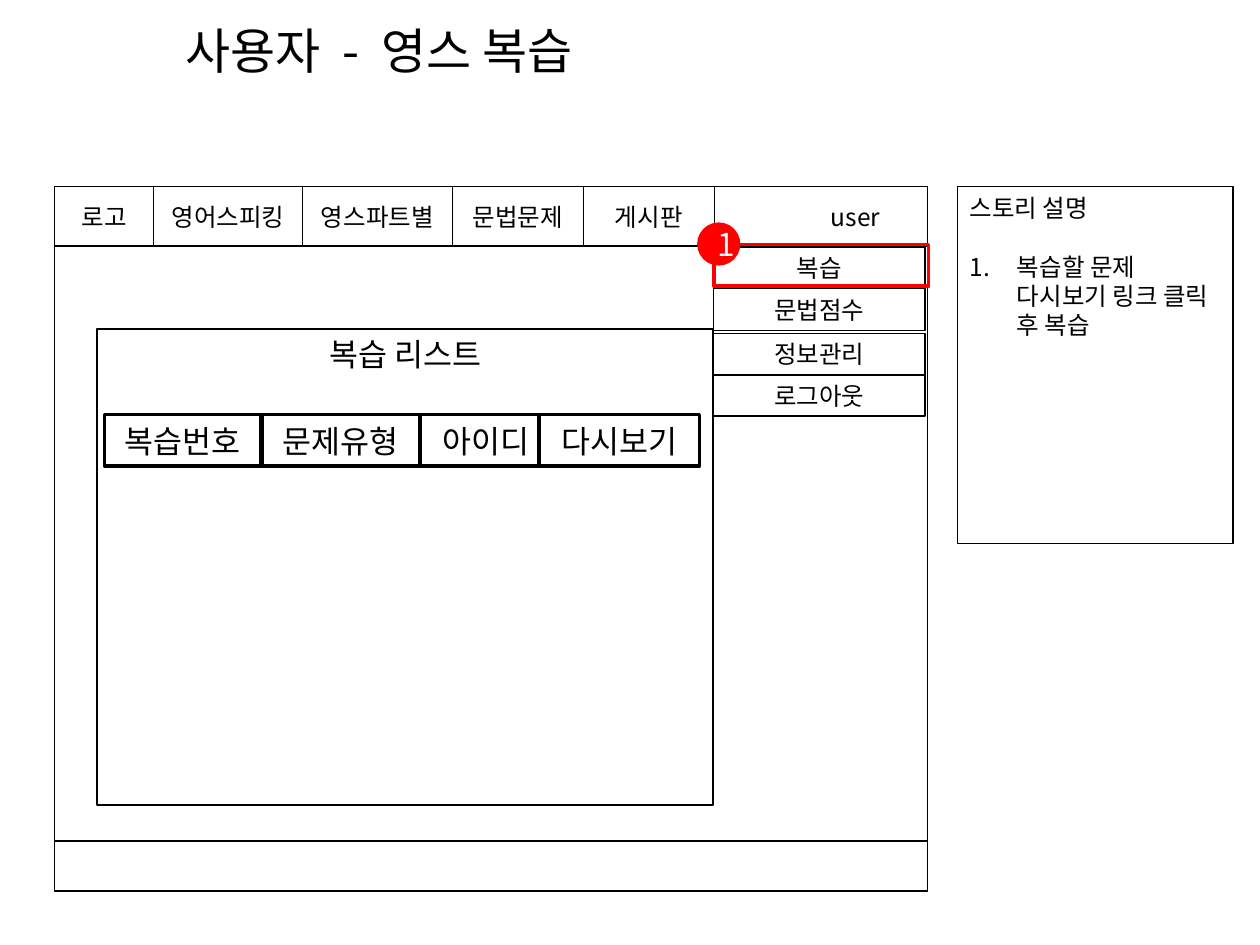
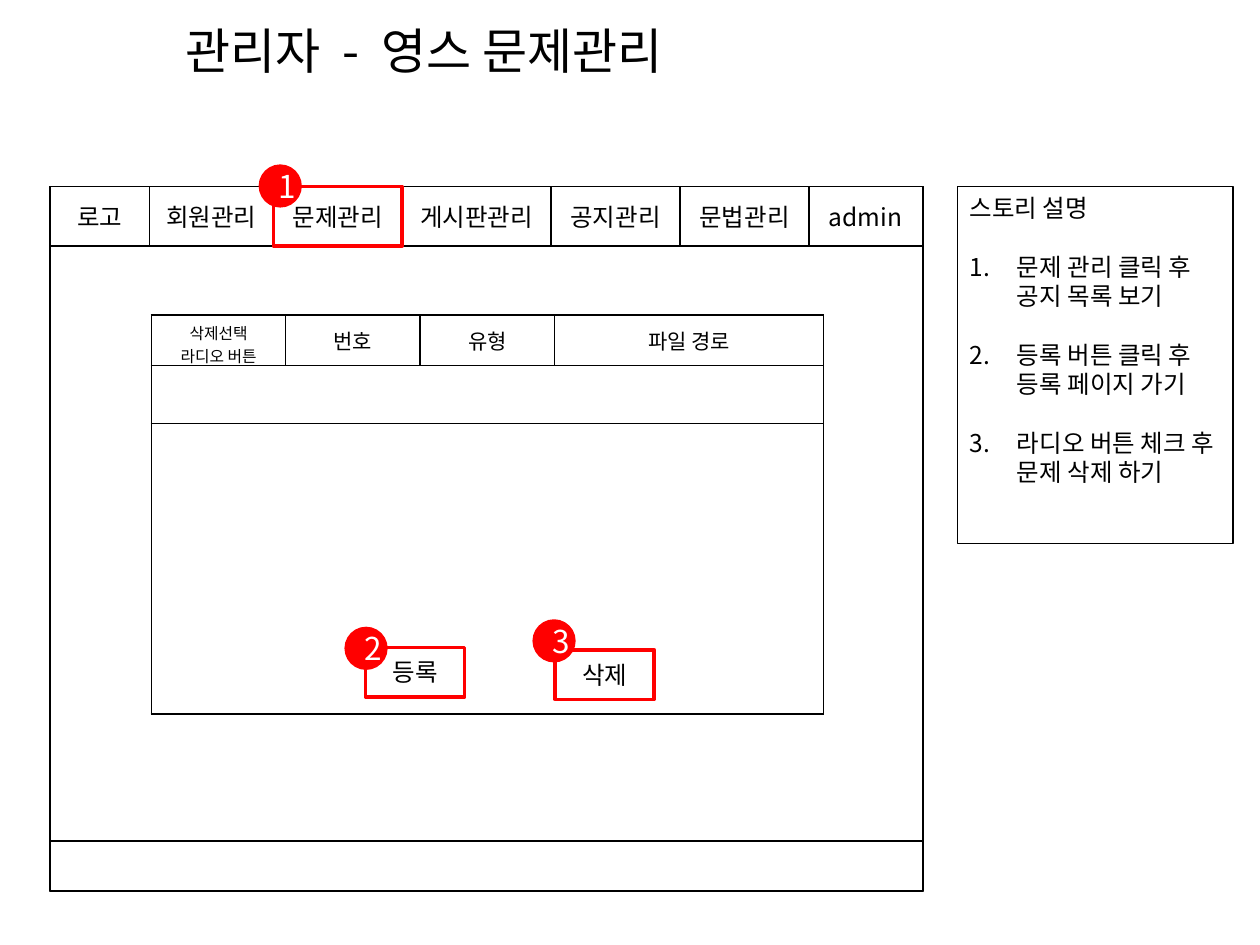
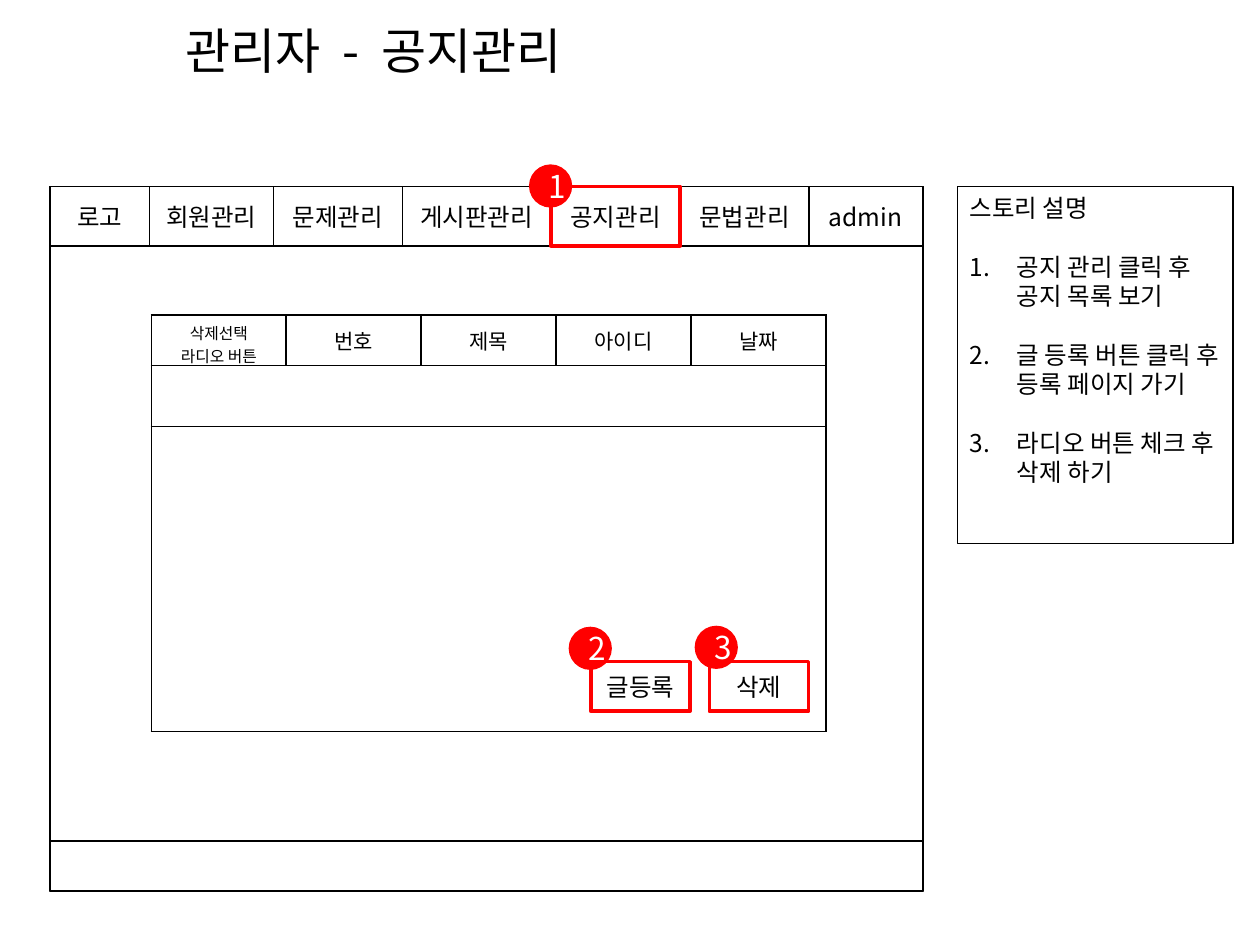
from dataclasses import dataclass
from itertools import accumulate

from lxml.etree import SubElement
from pptx import Presentation
from pptx.dml.color import RGBColor
from pptx.enum.shapes import MSO_SHAPE
from pptx.enum.text import MSO_ANCHOR, MSO_AUTO_SIZE, PP_ALIGN
from pptx.oxml.ns import qn
from pptx.util import Cm, Pt


@dataclass(frozen=True)
class Theme:
    font: str = "Noto Sans CJK KR"
    ink: str = "000000"
    paper: str = "FFFFFF"
    accent: str = "FF0000"
    title: int = 28
    heading: int = 18
    body: int = 14
    cell: int = 12
    small: int = 9
    leading: float = 1.2
    thin: float = 0.75
    rule: float = 1
    bold_rule: float = 2
    no_grid: str = "{2D5ABB26-0587-4C30-8999-92F81FD0307C}"


# Shared layout, in centimetres
FRAME_TOP, FRAME_WIDTH, FRAME_HEIGHT = 3.76, 17.6, 14.2
BAR_HEIGHT, FOOTER_HEIGHT = 1.2, 1.0
BUTTON_SIZE = (2.0, 1.0)
BADGE = 0.8


def apply(target, values):
    for name, value in values.items():
        setattr(target, name, value)


class Wireframe:
    def __init__(self, deck, theme):
        self.deck, self.theme = deck, theme
        self.page = None

    def new_page(self, role, subject):
        self.page = self.deck.slides.add_slide(self.deck.slide_layouts[6])
        self.role, self.subject = role, subject

    def span(self, para, text, size, color=None, tracking=0):
        span = para.add_run()
        span.text = text
        apply(span.font, {"name": self.theme.font, "size": Pt(size)})
        span.font.color.rgb = RGBColor.from_string(color or self.theme.ink)
        properties = span.font._element
        SubElement(properties, qn("a:ea")).set("typeface", self.theme.font)
        if tracking:
            properties.set("spc", str(round(tracking * 100)))

    def fill_para(self, para, text, size, color=None, align=PP_ALIGN.CENTER):
        apply(para, {"alignment": align,
                     "line_spacing": Pt(size * self.theme.leading)})
        if text:
            self.span(para, text, size, color)

    def box(self, left, top, width, height, text="", size=None, fill=None,
            line=None, weight=None, color=None, kind=MSO_SHAPE.RECTANGLE,
            anchor=MSO_ANCHOR.MIDDLE):
        box = self.page.shapes.add_shape(
            kind, Cm(left), Cm(top), Cm(width), Cm(height))
        box.shadow.inherit = False
        if fill:
            box.fill.solid()
            box.fill.fore_color.rgb = RGBColor.from_string(fill)
        else:
            box.fill.background()
        box.line.color.rgb = RGBColor.from_string(line or self.theme.ink)
        box.line.width = Pt(weight or self.theme.thin)
        apply(box.text_frame, {"word_wrap": True, "vertical_anchor": anchor})
        if text:
            self.fill_para(box.text_frame.paragraphs[0], text,
                           size or self.theme.body, color)
        return box

    def label(self, left, top, width, height, text):
        box = self.page.shapes.add_textbox(
            Cm(left), Cm(top), Cm(width), Cm(height))
        apply(box.text_frame, {"word_wrap": True,
                               "vertical_anchor": MSO_ANCHOR.MIDDLE})
        self.fill_para(box.text_frame.paragraphs[0], text, self.theme.body)

    def title(self):
        box = self.page.shapes.add_textbox(Cm(3.5), Cm(0.28), Cm(21.4), Cm(1.45))
        apply(box.text_frame, {"word_wrap": True,
                               "auto_size": MSO_AUTO_SIZE.SHAPE_TO_FIT_TEXT})
        para = box.text_frame.paragraphs[0]
        para.line_spacing = Pt(self.theme.title * self.theme.leading)
        for text in (self.role, " ", "-", " ", self.subject):
            self.span(para, text, self.theme.title,
                      tracking=6.3 if text == " " else 0)

    def story(self, steps):
        size = self.theme.body
        box = self.box(19.3, FRAME_TOP, 5.56, 7.2, anchor=MSO_ANCHOR.TOP)
        self.fill_para(box.text_frame.paragraphs[0], "스토리 설명", size,
                       align=PP_ALIGN.LEFT)
        for step in steps:
            para = box.text_frame.add_paragraph()
            self.fill_para(para, step, size, align=PP_ALIGN.LEFT)
            para.space_before = Pt(size * self.theme.leading)
            properties = para._p.get_or_add_pPr()
            properties.set("marL", str(Cm(0.95)))
            properties.set("indent", str(-Cm(0.95)))
            SubElement(properties, qn("a:buAutoNum")).set("type", "arabicPeriod")

    def frame(self, left):
        footer_top = FRAME_TOP + FRAME_HEIGHT - FOOTER_HEIGHT
        for top, height in ((FRAME_TOP, FRAME_HEIGHT), (FRAME_TOP, BAR_HEIGHT),
                            (footer_top, FOOTER_HEIGHT)):
            self.box(left, top, FRAME_WIDTH, height, weight=self.theme.rule)

    def tabs(self, left, tabs):
        """Draw a row of menu tabs; return the left edge of each by name."""
        edges = accumulate((width for _, width in tabs), initial=left)
        places = {}
        for (name, width), edge in zip(tabs, edges):
            self.box(edge, FRAME_TOP, width, BAR_HEIGHT, name)
            places[name] = edge
        return places

    def highlight(self, left, top, width, height, weight=None):
        self.box(left, top, width, height, line=self.theme.accent,
                 weight=weight or self.theme.bold_rule)

    def badge(self, number, center_x, center_y):
        theme = self.theme
        self.box(center_x - BADGE / 2, center_y - BADGE / 2, BADGE, BADGE,
                 str(number), theme.heading, fill=theme.accent,
                 line=theme.accent, weight=theme.bold_rule, color=theme.paper,
                 kind=MSO_SHAPE.OVAL)

    def cell_borders(self, cell, sides):
        properties = cell._tc.get_or_add_tcPr()
        for side in (side for side in "LRTB" if side in sides):
            line = SubElement(properties, qn(f"a:ln{side}"),
                              w=str(Pt(self.theme.rule)))
            fill = SubElement(line, qn("a:solidFill"))
            SubElement(fill, qn("a:srgbClr"), val=self.theme.ink)
        cell.fill.background()

    def listing(self, headings, column_width, row_height):
        rows, columns, first_height = 7, 5, 0.96
        table = self.page.shapes.add_table(
            rows, columns, Cm(3.05), Cm(6.35), Cm(column_width * columns),
            Cm(first_height + row_height * (rows - 1))).table
        apply(table, {"first_row": False, "horz_banding": False})
        table._tbl.tblPr.find(qn("a:tableStyleId")).text = self.theme.no_grid
        for column in table.columns:
            column.width = Cm(column_width)
        for index, row in enumerate(table.rows):
            row.height = Cm(row_height if index else first_height)

        # Full grid in the heading row, outer edges only below it
        for row in range(rows):
            for column in range(columns):
                edges = {"L": column == 0, "R": column == columns - 1,
                         "T": row <= 1, "B": row == rows - 1}
                sides = [side for side, drawn in edges.items()
                         if drawn or row == 0]
                self.cell_borders(table.cell(row, column), sides)
        if len(headings) < columns:
            table.cell(0, len(headings) - 1).merge(table.cell(0, columns - 1))

        for column, heading in enumerate(headings):
            cell = table.cell(0, column)
            lines = heading.split("\n")
            several = len(lines) > 1
            cell.vertical_anchor = MSO_ANCHOR.TOP if several else MSO_ANCHOR.MIDDLE
            for index, text in enumerate(lines):
                text_frame = cell.text_frame
                para = (text_frame.add_paragraph() if index
                        else text_frame.paragraphs[0])
                para.alignment = PP_ALIGN.CENTER
                self.span(para, text,
                          self.theme.small if several else self.theme.cell)

    def admin_page(self, subject, active, headings, column_width, row_height,
                   steps, buttons, badges):
        self.new_page("관리자", subject)
        self.listing(headings, column_width, row_height)
        self.story(steps)
        self.frame(ADMIN_LEFT)
        places = self.tabs(ADMIN_LEFT, ADMIN_TABS)
        self.label(16.3, FRAME_TOP, 2.3, BAR_HEIGHT, "admin")
        for name, left, top in buttons:
            self.box(left, top, *BUTTON_SIZE, name)
        self.highlight(places[active], FRAME_TOP, dict(ADMIN_TABS)[active],
                       BAR_HEIGHT)
        for _, left, top in buttons:
            self.highlight(left, top, *BUTTON_SIZE)
        for number, center in enumerate(badges, 1):
            self.badge(number, *center)
        self.title()


USER_LEFT, ADMIN_LEFT = 1.1, 1.01
USER_TABS = [("로고", 2.0), ("영어스피킹", 3.0), ("영스파트별", 3.02),
             ("문법문제", 2.64), ("게시판", 2.64)]
ADMIN_TABS = [("로고", 2.0), ("회원관리", 2.5), ("문제관리", 2.6),
              ("게시판관리", 3.0), ("공지관리", 2.6), ("문법관리", 2.6)]
SELECT_HEADING = "삭제선택\n라디오 버튼"

deck = Presentation()
apply(deck, {"slide_width": Cm(25.4), "slide_height": Cm(19.05)})
theme = Theme()
wireframe = Wireframe(deck, theme)

# Page 1: review list of the user
wireframe.new_page("사용자", "영스 복습")
for name, top in (("로그아웃", 7.55), ("정보관리", 6.72),
                  ("문법점수", 5.82), ("복습", 4.98)):
    wireframe.box(14.38, top, 4.27, 0.84, name)
wireframe.story(["복습할 문제 다시보기 링크 클릭 후 복습"])
wireframe.frame(USER_LEFT)
wireframe.box(1.96, 6.63, 12.42, 9.6, "복습 리스트", theme.heading,
              weight=theme.rule, anchor=MSO_ANCHOR.TOP)
wireframe.tabs(USER_LEFT, USER_TABS)
wireframe.label(15.85, FRAME_TOP, 2.8, BAR_HEIGHT, "user")
wireframe.highlight(14.4, 4.93, 4.32, 0.84, weight=2.25)
wireframe.badge(1, 14.49, 4.92)
for name, left, width in (("복습번호", 2.11, 3.15), ("문제유형", 5.28, 3.18),
                          ("아이디", 8.48, 2.62), ("다시보기", 10.87, 3.23)):
    wireframe.box(left, 8.36, width, 1.04, name, theme.heading,
                  fill=theme.paper, weight=theme.bold_rule)
wireframe.title()

# Page 2: question management
wireframe.admin_page(
    "영스 문제관리", "문제관리",
    [SELECT_HEADING, "번호", "유형", "파일 경로"], 2.71, 1.17,
    ["문제 관리 클릭 후 공지 목록 보기", "등록 버튼 클릭 후 등록 페이지 가기",
     "라디오 버튼 체크 후 문제 삭제 하기"],
    [("등록", 7.37, 13.05), ("삭제", 11.19, 13.1)],
    [(5.65, 3.75), (7.38, 13.07), (11.17, 12.92)])

# Page 3: notice management
wireframe.admin_page(
    "공지관리", "공지관리",
    [SELECT_HEADING, "번호", "제목", "아이디", "날짜"], 2.72, 1.23,
    ["공지 관리 클릭 후 공지 목록 보기", "글 등록 버튼 클릭 후 등록 페이지 가기",
     "라디오 버튼 체크 후 삭제 하기"],
    [("글등록", 11.91, 13.34), ("삭제", 14.3, 13.34)],
    [(11.1, 3.75), (11.9, 13.07), (14.44, 13.05)])

deck.save("out.pptx")
